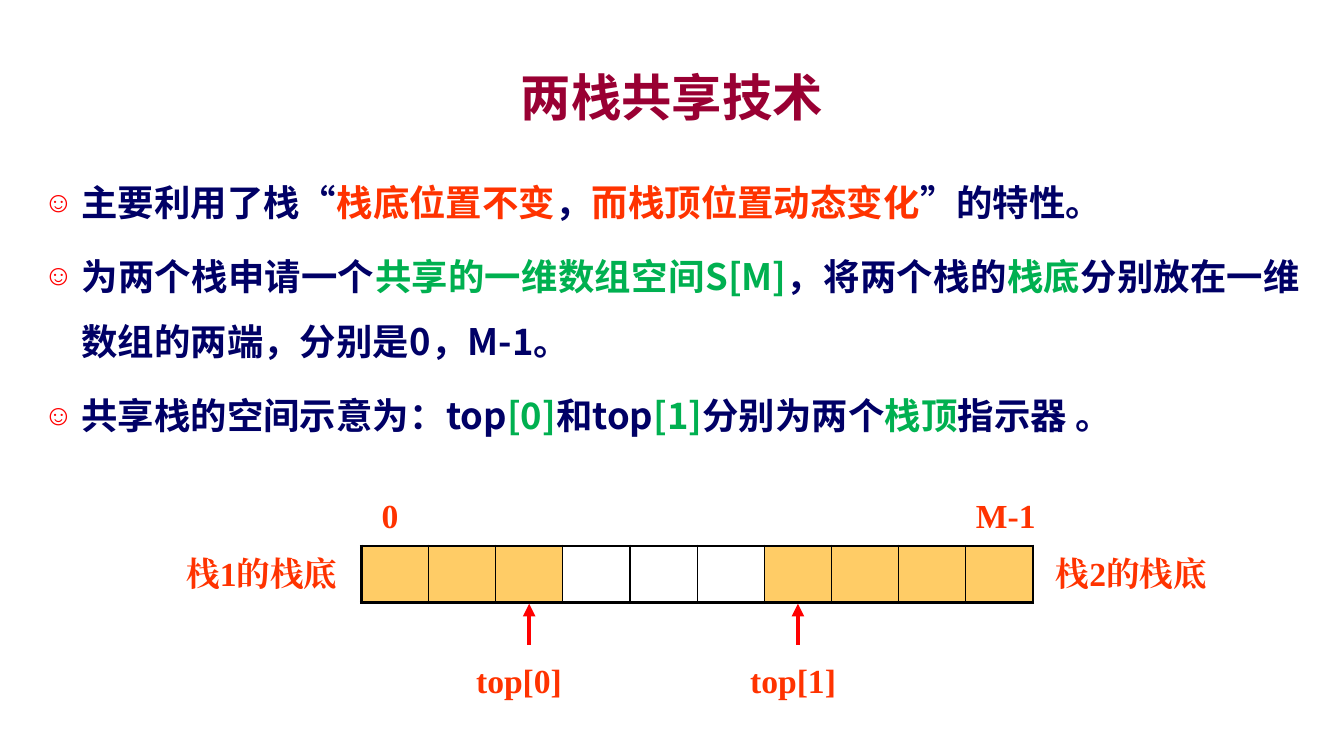
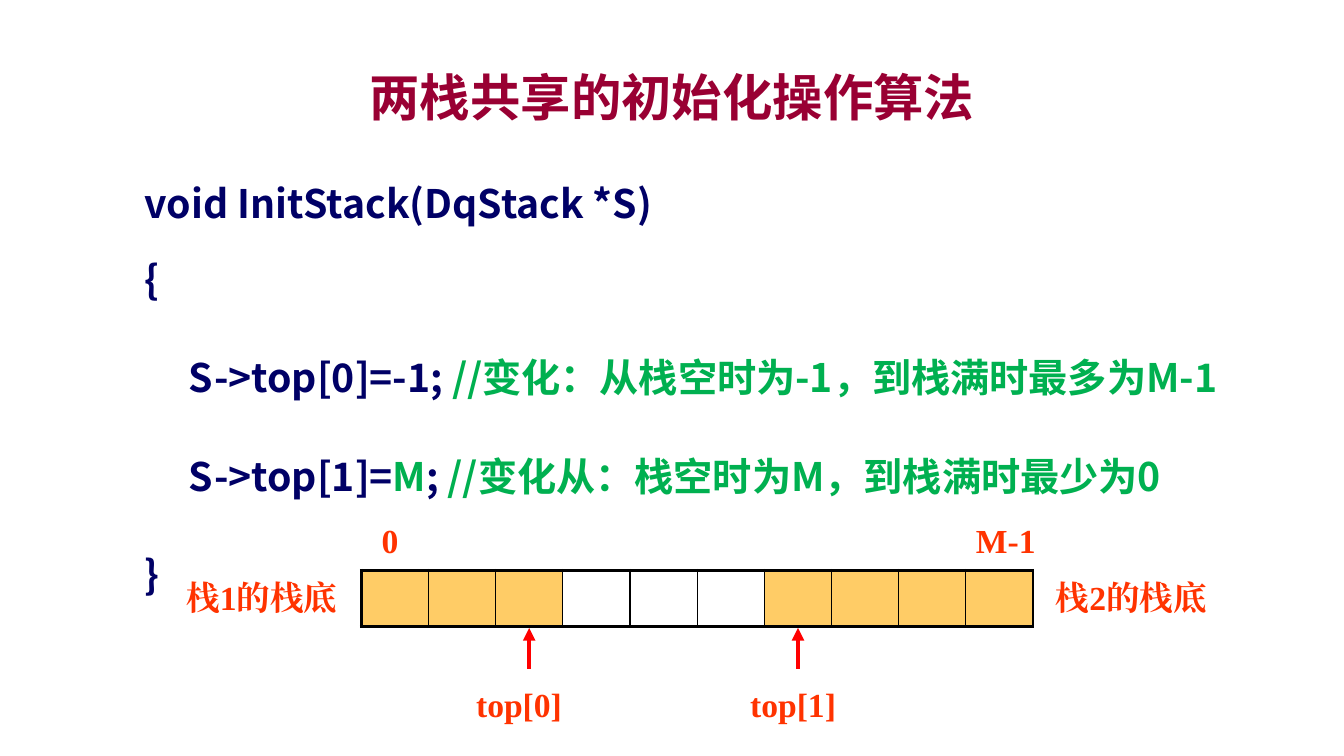
"""Build two slides on two stacks sharing one array."""
from pptx import Presentation
from pptx.dml.color import RGBColor
from pptx.enum.shapes import MSO_CONNECTOR as Connector
from pptx.enum.text import MSO_ANCHOR as Anchor, MSO_AUTO_SIZE as AutoSize, PP_ALIGN as Align
from pptx.oxml.ns import qn
from pptx.util import Pt
from lxml.etree import SubElement

PX = 9525
SANS, SERIF = "Noto Sans CJK SC", "Times New Roman"
MAROON, NAVY, ORANGE, GREEN = "990033", "000066", "FF3300", "00B050"
RED, GOLD, BLACK = "FF0000", "FFCC66", "000000"
TITLE_BOX = (96, 56, 1088, 72)

SLIDES = [
    {
        "title": "两栈共享技术",
        "body_box": (32, 146, 1216, 544),
        "size": 26, "before": 6, "after": 0, "bullet": "☺",
        "array_top": 520,
        "lines": [
            (1.5, [("主要利用了栈“", NAVY), ("栈底位置不变", ORANGE), ("，", NAVY),
                   ("而栈顶位置动态变化", ORANGE), ("”的特性。", NAVY)]),
            (1.5, [("为两个栈申请一个", NAVY), ("共享的一维数组空间S[M]", GREEN),
                   ("，将两个栈的", NAVY), ("栈底", GREEN),
                   ("分别放在一维数组的两端，分别是0，M-1。", NAVY)]),
            (1.5, [("共享栈的空间示意为：top", NAVY), ("[0]", GREEN), ("和top", NAVY),
                   ("[1]", GREEN), ("分别为两个", NAVY), ("栈顶", GREEN),
                   ("指示器 。", NAVY)]),
        ],
    },
    {
        "title": "两栈共享的初始化操作算法",
        "body_box": (128, 144, 1120, 544),
        "size": 28, "before": 14, "after": 6, "bullet": None,
        "array_top": 543,
        "lines": [
            (1.5, [("void InitStack(DqStack *S)", NAVY)]),
            (1.0, [("{", NAVY)]),
            (1.5, [("     S->top[0]=-1; ", NAVY),
                   ("//变化：从栈空时为-1，到栈满时最多为M-1", GREEN)]),
            (1.5, [("     S->top[1]=", NAVY), ("M", GREEN), ("; ", NAVY),
                   ("//变化从：栈空时为M，到栈满时最少为0", GREEN)]),
            (1.5, [("}", NAVY)]),
        ],
    },
]

ARRAY_LEFT, CELL_WIDTH, CELL_HEIGHT = 344, 64, 54
FILLED = [True] * 3 + [False] * 3 + [True] * 4
POINTED_CELLS = (2, 6)
ARROW_TOP, ARROW_BOTTOM = 55, 94
LABELS = [
    ("top[0]", 100, 104, 136),
    ("top[1]", 361, 104, 110),
    ("0", 10, -53, 112),
    ("M-1", 576, -53, 112),
    ("栈1的栈底", -176, 2, 170),
    ("栈2的栈底", 652, 2, 170),
]


def px(*lengths):
    return [length * PX for length in lengths]


def color(value):
    return RGBColor.from_string(value)


def place(shape, box):
    shape.left, shape.top, shape.width, shape.height = px(*box)


def add_span(para, text, font, size, shade):
    span = para.add_run()
    span.text = text
    span.font.name, span.font.size, span.font.bold = font, Pt(size), True
    span.font.color.rgb = color(shade)
    SubElement(span.font._element, qn("a:ea"), typeface=font)


def set_bullet(para, mark):
    props = para._p.get_or_add_pPr()
    indent = 36 * PX if mark else 0
    props.set("marL", str(indent))
    props.set("indent", str(-indent))
    if not mark:
        SubElement(props, qn("a:buNone"))
        return
    SubElement(SubElement(props, qn("a:buClr")), qn("a:srgbClr"), val=RED)
    SubElement(props, qn("a:buSzPct"), val="80000")
    SubElement(props, qn("a:buChar"), char=mark)


def add_title(page, text):
    title = page.shapes.title
    place(title, TITLE_BOX)
    frame = title.text_frame
    frame.auto_size, frame.vertical_anchor = AutoSize.NONE, Anchor.MIDDLE
    para = frame.paragraphs[0]
    para.alignment = Align.CENTER
    add_span(para, text, SANS, 36, MAROON)


def add_body(page, content):
    body = page.placeholders[1]
    place(body, content["body_box"])
    frame = body.text_frame
    frame.auto_size = AutoSize.NONE
    for index, (spacing, spans) in enumerate(content["lines"]):
        para = frame.add_paragraph() if index else frame.paragraphs[0]
        set_bullet(para, content["bullet"])
        para.alignment, para.line_spacing = Align.JUSTIFY, spacing
        para.space_before = Pt(content["before"] if index else 0)
        para.space_after = Pt(content["after"])
        for text, shade in spans:
            add_span(para, text, SANS, content["size"], shade)


def set_border(cell, side, width):
    line = SubElement(cell._tc.get_or_add_tcPr(), qn(f"a:ln{side}"), w=str(Pt(width)))
    SubElement(SubElement(line, qn("a:solidFill")), qn("a:srgbClr"), val=BLACK)


def add_array(page, top):
    count = len(FILLED)
    box = px(ARRAY_LEFT, top, CELL_WIDTH * count, CELL_HEIGHT)
    table = page.shapes.add_table(1, count, *box).table
    table.first_row = table.horz_banding = False
    for index, filled in enumerate(FILLED):
        cell = table.cell(0, index)
        set_border(cell, "L", 2.25 if index == 0 else 1)
        set_border(cell, "R", 2.25 if index == count - 1 else 1)
        set_border(cell, "T", 2.25)
        set_border(cell, "B", 2.25)
        if filled:
            cell.fill.solid()
            cell.fill.fore_color.rgb = color(GOLD)
        else:
            cell.fill.background()


def add_arrow(page, x, start, end):
    arrow = page.shapes.add_connector(Connector.STRAIGHT, *px(x, start, x, end))
    arrow.line.color.rgb, arrow.line.width = color(RED), Pt(3)
    SubElement(arrow.line._get_or_add_ln(), qn("a:tailEnd"), type="triangle")
    SubElement(arrow._element.spPr, qn("a:effectLst"))


def add_label(page, text, left, top, width):
    frame = page.shapes.add_textbox(*px(left, top, width, 48)).text_frame
    frame.word_wrap = True
    add_span(frame.paragraphs[0], text, SERIF, 24, ORANGE)


def add_diagram(page, top):
    add_array(page, top)
    for index in POINTED_CELLS:
        x = ARRAY_LEFT + CELL_WIDTH * index + CELL_WIDTH // 2
        add_arrow(page, x, top + ARROW_BOTTOM, top + ARROW_TOP)
    for text, dx, dy, width in LABELS:
        add_label(page, text, ARRAY_LEFT + dx, top + dy, width)


def main():
    deck = Presentation()
    deck.slide_width, deck.slide_height = px(1280, 720)
    for content in SLIDES:
        page = deck.slides.add_slide(deck.slide_layouts[1])
        add_title(page, content["title"])
        add_body(page, content)
        add_diagram(page, content["array_top"])
    deck.save("out.pptx")


if __name__ == "__main__":
    main()
